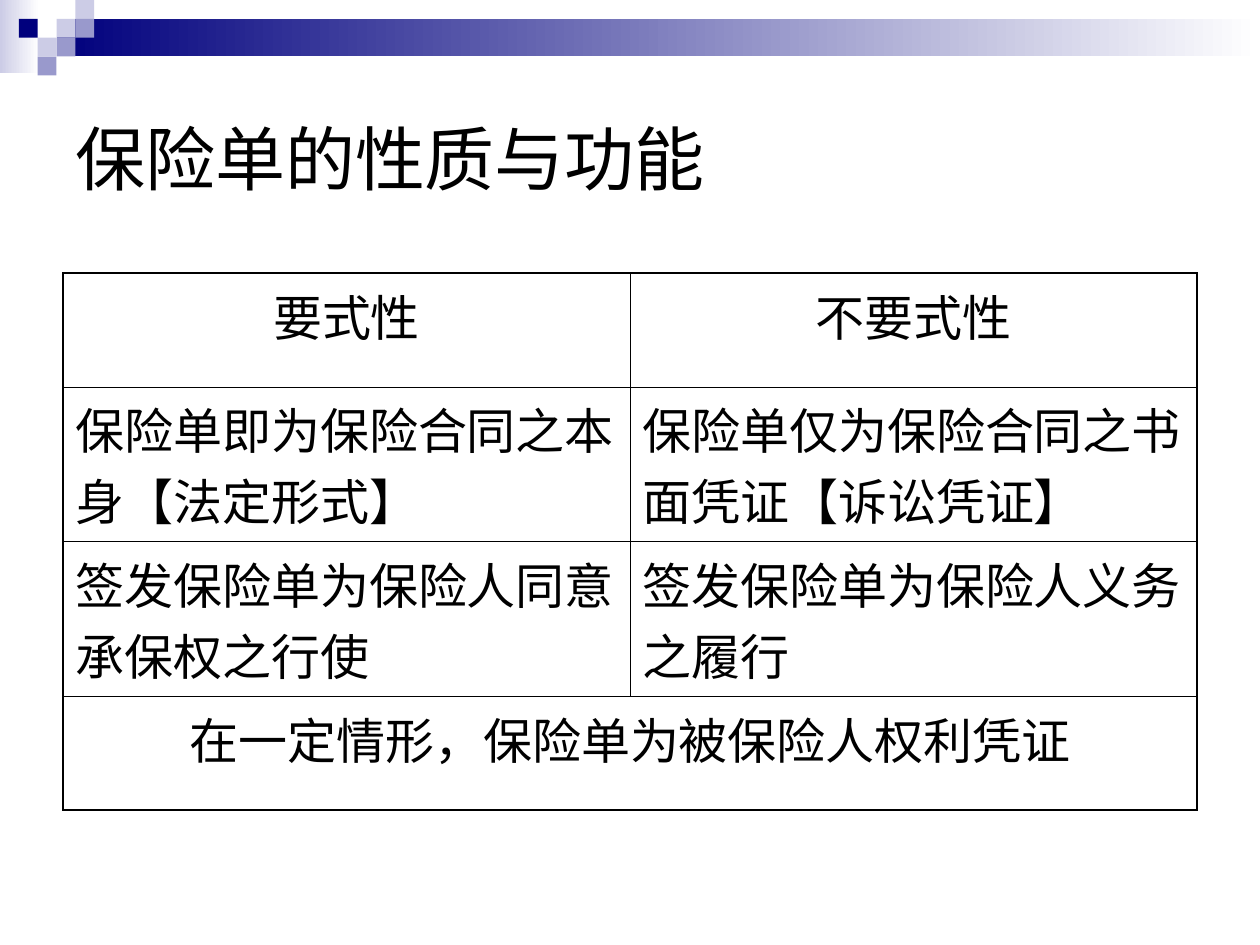
from dataclasses import dataclass

from lxml.etree import SubElement
from pptx import Presentation
from pptx.dml.color import RGBColor
from pptx.enum.shapes import MSO_SHAPE
from pptx.enum.text import MSO_ANCHOR, PP_ALIGN
from pptx.oxml.ns import qn
from pptx.util import Cm, Pt


@dataclass(frozen=True)
class Theme:
    ink: str = "000000"
    paper: str = "FFFFFF"
    navy: str = "00007D"
    violet: str = "9999CC"
    lilac: str = "CCCCE6"
    font: str = "Arial"
    title_size: int = 40
    body_size: int = 28
    outer_line: float = 1.08
    inner_line: float = 0.45


theme = Theme()


def add_block(left, top, width, height, color, fade=False):
    """Borderless rectangle, solid or fading to paper on the right."""
    block = page.shapes.add_shape(
        MSO_SHAPE.RECTANGLE, Cm(left), Cm(top), Cm(width), Cm(height))
    block.shadow.inherit = False
    block.line.fill.background()
    if fade:
        block.fill.gradient()
        block.fill.gradient_angle = 180
        for stop, shade in zip(block.fill.gradient_stops, (theme.paper, color)):
            stop.color.rgb = RGBColor.from_string(shade)
    else:
        block.fill.solid()
        block.fill.fore_color.rgb = RGBColor.from_string(color)


def write(frame, text, size):
    """Fill a text frame with one paragraph and return it."""
    frame.word_wrap = True
    frame.text = text
    para = frame.paragraphs[0]
    for span in para.runs:
        span.font.name = theme.font
        span.font.size = Pt(size)
        span.font.color.rgb = RGBColor.from_string(theme.ink)
    return para


deck = Presentation()
deck.slide_width, deck.slide_height = Cm(25.4), Cm(19.05)
page = deck.slides.add_slide(deck.slide_layouts[6])

# Header band
unit = 0.38
add_block(0, 0, 0.79, 1.47, theme.lilac, fade=True)
add_block(3 * unit, unit, 25.4 - 3 * unit, 0.76, theme.navy, fade=True)

# Header mosaic: column and row on the square grid
mosaic = [
    (3, 1, theme.lilac), (4, 0, theme.lilac), (4, 1, theme.violet),
    (2, 2, theme.lilac), (1, 1, theme.navy), (3, 2, theme.violet),
    (2, 3, theme.violet),
]
for column, row, color in mosaic:
    add_block(column * unit, row * unit, unit, unit, color)

# Title
box = page.shapes.add_textbox(Cm(1.27), Cm(1.27), Cm(22.86), Cm(3.81))
box.text_frame.vertical_anchor = MSO_ANCHOR.MIDDLE
write(box.text_frame, "保险单的性质与功能", theme.title_size)

# Comparison table
rows = [
    ("要式性", "不要式性"),
    ("保险单即为保险合同之本身【法定形式】", "保险单仅为保险合同之书面凭证【诉讼凭证】"),
    ("签发保险单为保险人同意承保权之行使", "签发保险单为保险人义务之履行"),
    ("在一定情形，保险单为被保险人权利凭证", ""),
]
heights = (2.29, 3.12, 3.12, 2.29)
last = len(rows) - 1
table = page.shapes.add_table(
    len(rows), 2, Cm(1.27), Cm(5.51), Cm(22.86), Cm(sum(heights))).table
table.first_row = table.horz_banding = False
for column in table.columns:
    column.width = Cm(11.43)
for row, height in zip(table.rows, heights):
    row.height = Cm(height)
table.cell(last, 0).merge(table.cell(last, 1))

for r, texts in enumerate(rows):
    for c, text in enumerate(texts):
        cell = table.cell(r, c)
        if text:
            para = write(cell.text_frame, text, theme.body_size)
            para.space_before = Pt(7)
            para.alignment = PP_ALIGN.CENTER if r in (0, last) else PP_ALIGN.LEFT

        # Heavier lines around the outside
        outer = {"lnL": c == 0, "lnR": c == 1 or r == last,
                 "lnT": r == 0, "lnB": r == last}
        properties = cell._tc.get_or_add_tcPr()
        for side, heavy in outer.items():
            weight = theme.outer_line if heavy else theme.inner_line
            line = SubElement(properties, qn(f"a:{side}"), w=str(int(Pt(weight))))
            paint = SubElement(line, qn("a:solidFill"))
            SubElement(paint, qn("a:srgbClr"), val=theme.ink)
        cell.fill.background()

deck.save("out.pptx")
